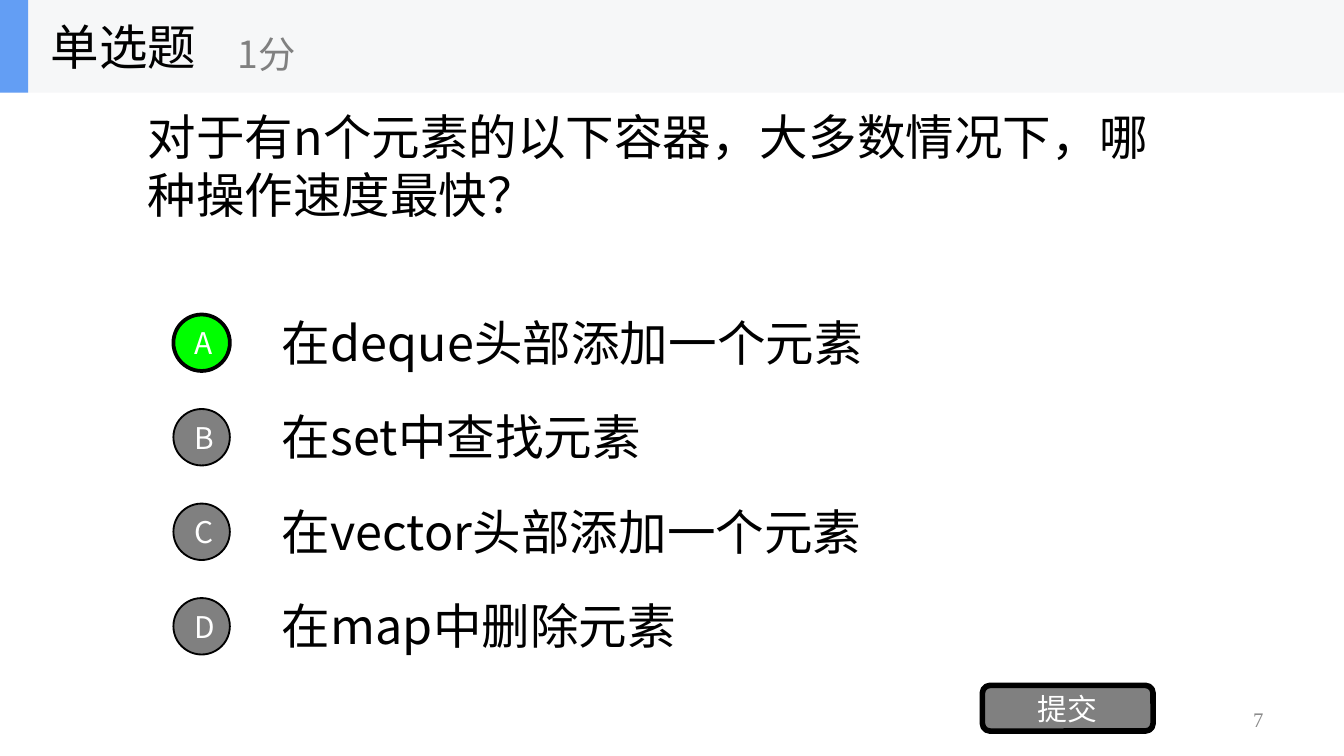
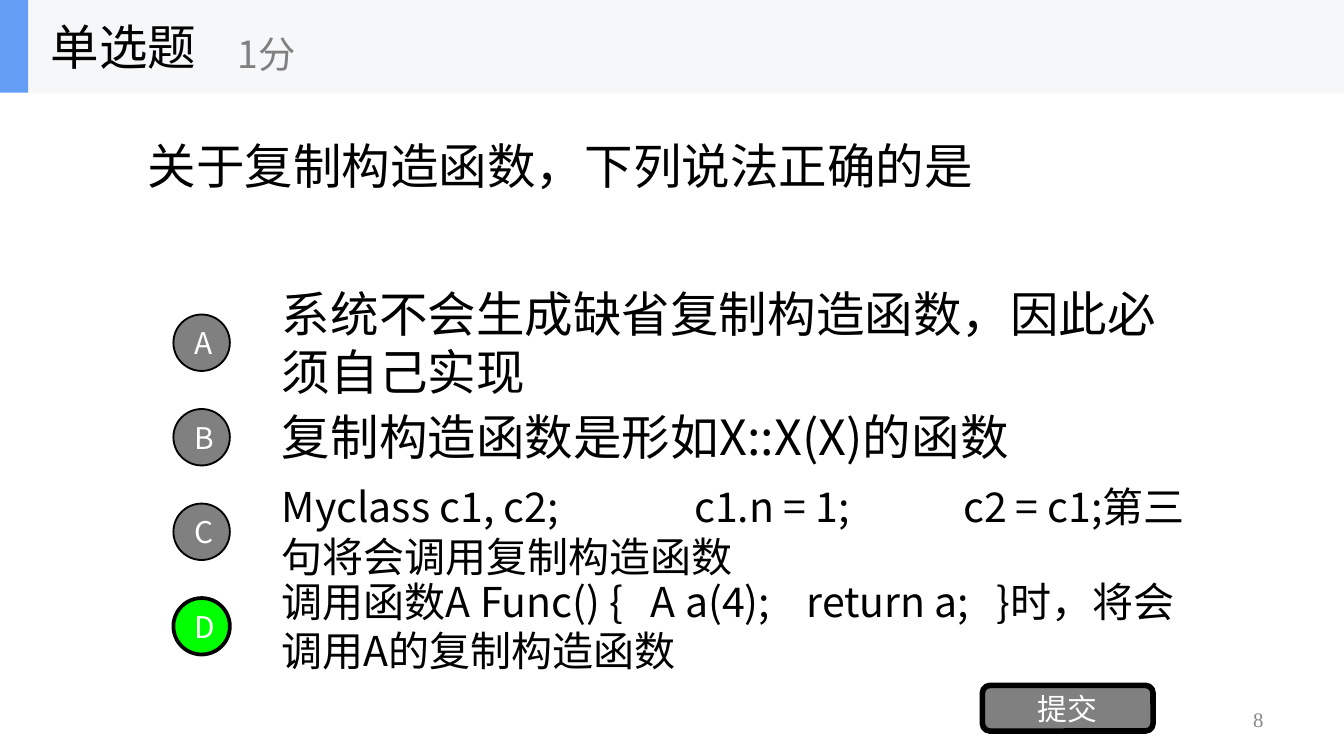
from dataclasses import dataclass

from lxml import etree
from pptx import Presentation
from pptx import util as u
from pptx.dml.color import RGBColor
from pptx.enum import shapes, text
from pptx.oxml.ns import qn


@dataclass(frozen=True)
class Theme:
    font: str = "Noto Sans CJK SC"
    number_font: str = "Times New Roman"
    ink: str = "000000"
    paper: str = "FFFFFF"
    band: str = "F6F7F8"
    accent: str = "639EF4"
    grey: str = "808080"
    number_grey: str = "898989"
    correct: str = "00FF00"
    body_size: float = 26
    compact_size: float = 22
    score_size: float = 20
    button_size: float = 16
    number_size: float = 11.1


THEME = Theme()
PAGE_WIDTH = 10
PAGE_HEIGHT = PAGE_WIDTH * 9 / 16
FIRST_OPTION_TOP = 2.28
LAST_OPTION_TOP = 4.39
OPTION_STEP = (LAST_OPTION_TOP - FIRST_OPTION_TOP) / 3
CIRCLE_OFFSET = 0.06
TAB_STOPS = range(8)
FIRST_NUMBER = 7

QUESTIONS = [
    {
        "prompt": "对于有n个元素的以下容器，大多数情况下，哪种操作速度最快？",
        "answer": "A",
        "options": [
            ("在deque头部添加一个元素", THEME.body_size),
            ("在set中查找元素", THEME.body_size),
            ("在vector头部添加一个元素", THEME.body_size),
            ("在map中删除元素", THEME.body_size),
        ],
    },
    {
        "prompt": "关于复制构造函数，下列说法正确的是",
        "answer": "D",
        "options": [
            ("系统不会生成缺省复制构造函数，因此必须自己实现", THEME.body_size),
            ("复制构造函数是形如X::X(X)的函数", THEME.body_size),
            ("Myclass c1, c2;\t c1.n = 1;\t c2 = c1;第三句将会调用复制构造函数",
             THEME.compact_size),
            ("调用函数A Func() {   A a(4);    return a;   }时，将会调用A的复制构造函数",
             THEME.compact_size),
        ],
    },
]


def inches(*lengths):
    return [u.Inches(length) for length in lengths]


def add_tab_stops(defaults):
    tabs = etree.Element(qn("a:tabLst"))
    for stop in inches(*TAB_STOPS):
        etree.SubElement(tabs, qn("a:tab"), pos=str(stop), algn="l")
    defaults.addprevious(tabs)


def write(shape, words, size, color, align=text.PP_ALIGN.LEFT, font=THEME.font):
    frame = shape.text_frame
    frame.word_wrap = True
    frame.vertical_anchor = text.MSO_ANCHOR.MIDDLE
    para = frame.paragraphs[0]
    para.text = words
    para.alignment = align
    para.font.name = font
    para.font.size = u.Pt(size)
    para.font.color.rgb = RGBColor.from_string(color)
    latin = para._p.find(".//" + qn("a:latin"))
    latin.addnext(etree.Element(qn("a:ea"), typeface=font))
    add_tab_stops(latin.getparent())
    return para


def add_label(parent, bounds, words, size=THEME.body_size, color=THEME.ink, **style):
    box = parent.shapes.add_textbox(*inches(*bounds))
    return write(box, words, size, color, **style)


def add_block(parent, kind, bounds, fill, line_width=0):
    block = parent.shapes.add_shape(kind, *inches(*bounds))
    block.shadow.inherit = False
    block.fill.solid()
    block.fill.fore_color.rgb = RGBColor.from_string(fill)
    if line_width:
        block.line.color.rgb = RGBColor.from_string(THEME.ink)
        block.line.width = u.Pt(line_width)
    else:
        block.line.fill.background()
    return block


def add_button(page, kind, bounds, words, fill, line_width):
    button = add_block(page, kind, bounds, fill, line_width)
    write(button, words, THEME.button_size, THEME.paper, text.PP_ALIGN.CENTER)


def add_header(page):
    header = page.shapes.add_group_shape()
    rectangle = shapes.MSO_SHAPE.RECTANGLE
    add_block(header, rectangle, (0, 0, PAGE_WIDTH, 0.69), THEME.band)
    add_block(header, rectangle, (0, 0, 0.21, 0.69), THEME.accent)
    add_label(header, (0.28, 0, 2.08, 0.69), "单选题")
    add_label(header, (1.67, 0.12, 2.5, 0.56), "1分", THEME.score_size, THEME.grey)


def add_page_number(page, number):
    para = add_label(page, (7.17, 5.21, 2.33, 0.3), str(number), THEME.number_size,
                     THEME.number_grey, align=text.PP_ALIGN.RIGHT,
                     font=THEME.number_font)
    para.line_spacing = 0.9


def add_options(page, options, answer):
    tops = [FIRST_OPTION_TOP + row * OPTION_STEP for row in range(len(options))]
    for top, (words, size) in zip(tops, options):
        add_label(page, (2, top, 7, 0.53), words, size)
    for top, letter in zip(tops, "ABCD"):
        chosen = letter == answer
        add_button(page, shapes.MSO_SHAPE.OVAL,
                   (1.29, top + CIRCLE_OFFSET, 0.42, 0.42), letter,
                   THEME.correct if chosen else THEME.grey, 2 if chosen else 1)


def add_question(deck, number, question):
    page = deck.slides.add_slide(deck.slide_layouts[6])
    add_page_number(page, number)
    add_label(page, (1, 0.35, 8, 1.76), question["prompt"])
    add_options(page, question["options"], question["answer"])
    add_button(page, shapes.MSO_SHAPE.ROUNDED_RECTANGLE, (7.31, 5.1, 1.27, 0.34),
               "提交", THEME.grey, 3)
    add_header(page)


def main():
    deck = Presentation()
    deck.slide_width, deck.slide_height = inches(PAGE_WIDTH, PAGE_HEIGHT)
    for number, question in enumerate(QUESTIONS, FIRST_NUMBER):
        add_question(deck, number, question)
    deck.save("out.pptx")


if __name__ == "__main__":
    main()
